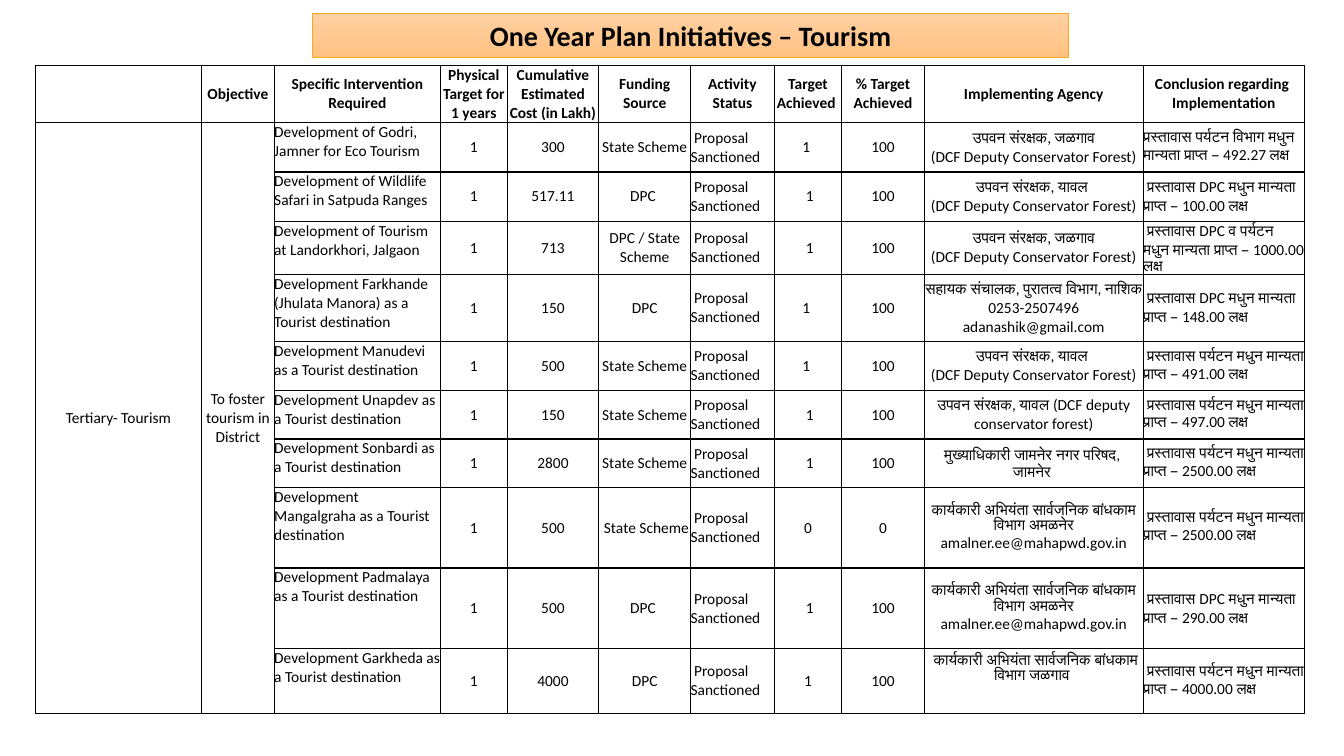
import pptx
import pptx.util
import pptx.dml.color
import pptx.enum.text
import pptx.oxml
import pptx.oxml.ns

Inches, Pt = pptx.util.Inches, pptx.util.Pt
RGBColor = pptx.dml.color.RGBColor
ALIGN, ANCHOR = pptx.enum.text.PP_ALIGN, pptx.enum.text.MSO_ANCHOR

BLACK = RGBColor(0x00, 0x00, 0x00)
PEACH = RGBColor(0xFF, 0xD1, 0xA3)
APRICOT = RGBColor(0xFF, 0xC1, 0x81)
AMBER = RGBColor(0xFC, 0xA8, 0x27)
FONT = "Calibri"

COLS = [1.65, 0.72, 1.65, 0.66, 0.91, 0.91, 0.83, 0.67, 0.82, 2.17, 1.6]
ROWS = [0.49, 0.49, 0.49, 0.49, 0.66, 0.49, 0.48, 0.48, 0.8, 0.8, 0.64]
PLAN, STATUS, RESULT = 2, 6, 10  # left-aligned columns

HEADS = ["", "Objective", "Specific Intervention Required",
         "Physical Target for 1 years", "Cumulative Estimated\nCost (in Lakh)",
         "Funding Source", "Activity Status", "Target Achieved ",
         "% Target Achieved", "Implementing Agency",
         "Conclusion regarding  Implementation"]
GROUPS = ["Tertiary- Tourism", "To foster tourism in District"]

FOREST = "\n(DCF Deputy Conservator Forest)"
JALGAON = "उपवन संरक्षक, जळगाव" + FOREST
YAVAL = "उपवन संरक्षक, यावल " + FOREST
WORKS = "कार्यकारी अभियंता सार्वजनिक बांधकाम विभाग "
AMALNER = WORKS + "अमळनेर\namalner.ee@mahapwd.gov.in"

# Intervention, cost, funding, achieved, percent, agency, approver, sum
PLANS = [
    ("Development of Godri, Jamner for Eco Tourism", "300", "State Scheme",
     "1 ", "100", JALGAON, "प्रस्तावास पर्यटन विभाग", "492.27"),
    ("Development of Wildlife Safari in Satpuda Ranges", "517.11", "DPC ",
     " 1", "100", YAVAL, " प्रस्तावास DPC", "100.00"),
    ("Development of Tourism at Landorkhori, Jalgaon", "713",
     "DPC / State Scheme", " 1", "100", JALGAON,
     " प्रस्तावास DPC व पर्यटन ", "1000.00"),
    ("Development Farkhande (Jhulata Manora) as a Tourist destination", "150",
     "DPC", "1 ", "100",
     "सहायक संचालक, पुरातत्व विभाग, नाशिक\n0253-2507496 adanashik@gmail.com",
     " प्रस्तावास DPC", "148.00"),
    ("Development Manudevi as a Tourist destination", "500", "State Scheme",
     "1 ", "100", YAVAL, " प्रस्तावास पर्यटन", "491.00"),
    ("Development Unapdev as a Tourist destination", "150", "State Scheme",
     " 1", "100", "उपवन संरक्षक, यावल (DCF deputy conservator forest)",
     " प्रस्तावास पर्यटन", "497.00"),
    ("Development Sonbardi as a Tourist destination", "2800", "State Scheme",
     " 1", "100", "मुख्याधिकारी जामनेर नगर परिषद,  जामनेर ",
     " प्रस्तावास पर्यटन", "2500.00"),
    ("Development Mangalgraha as a Tourist destination", "500",
     " State Scheme", "0", "0", AMALNER, " प्रस्तावास पर्यटन", "2500.00"),
    ("Development Padmalaya as a Tourist destination", "500", "DPC ",
     " 1", "100", AMALNER, " प्रस्तावास DPC", "290.00"),
    ("Development Garkheda as a Tourist destination", "4000", "DPC",
     "1", "100", " " + WORKS + "जळगाव \n", " प्रस्तावास पर्यटन", "4000.00"),
]


def add_text(para, text, size, bold):
    """Write text run by run, with a line break at each newline."""
    for i, line in enumerate(text.split("\n")):
        if i:
            para.add_line_break()
        if line:
            run = para.add_run()
            run.text = line
            font = run.font
            font.name, font.size, font.bold = FONT, Pt(size), bold
            font.color.rgb = BLACK


def add_title(slide, text):
    title = slide.shapes.title
    title.left, title.top = Inches(3.1), Inches(0.13)
    title.width, title.height = Inches(7.5), Inches(0.44)
    fill = title.fill
    fill.gradient()
    fill.gradient_angle = 270
    for stop, color in zip(fill.gradient_stops, (PEACH, APRICOT)):
        stop.color.rgb = color
    title.line.color.rgb = AMBER
    title.line.width = Pt(0.5)
    frame = title.text_frame
    frame.vertical_anchor = ANCHOR.MIDDLE
    frame.auto_size = pptx.enum.text.MSO_AUTO_SIZE.NONE
    para = frame.paragraphs[0]
    para.alignment = ALIGN.CENTER
    add_text(para, text, 20, True)


def add_edges(cell):
    """Draw a thin black border on all four sides."""
    props = cell._tc.get_or_add_tcPr()
    for i, side in enumerate(("lnL", "lnR", "lnT", "lnB")):
        props.insert(i, pptx.oxml.parse_xml(
            f'<a:{side} {pptx.oxml.ns.nsdecls("a")} w="{Pt(1)}"><a:solidFill>'
            f'<a:srgbClr val="{BLACK}"/></a:solidFill></a:{side}>'))


def fill_cell(cell, text, left=False, top=False, bold=False):
    cell.vertical_anchor = ANCHOR.TOP if top else ANCHOR.MIDDLE
    para = cell.text_frame.paragraphs[0]
    para.alignment = ALIGN.LEFT if left else ALIGN.CENTER
    add_text(para, text, 11, bold)


def add_grid(slide):
    """Add the empty table with its sizes and borders."""
    table = slide.shapes.add_table(
        len(ROWS), len(COLS), Inches(0.35), Inches(0.65),
        Inches(sum(COLS)), Inches(sum(ROWS))).table
    table.first_row = table.horz_banding = False
    for col, width in zip(table.columns, COLS):
        col.width = Inches(width)
    for row, height in zip(table.rows, ROWS):
        row.height = Inches(height)
    for cell in table.iter_cells():
        cell.margin_left = cell.margin_right = 0
        cell.margin_top = cell.margin_bottom = 0
        cell.fill.background()
        add_edges(cell)
    return table


def main():
    deck = pptx.Presentation()
    deck.slide_width, deck.slide_height = Inches(13.33), Inches(7.5)
    slide = deck.slides.add_slide(deck.slide_layouts[5])
    add_title(slide, "One Year Plan Initiatives – Tourism")
    table = add_grid(slide)

    # Header row
    for col, head in enumerate(HEADS):
        fill_cell(table.cell(0, col), head, bold=True)

    # Merged group columns
    for col, group in enumerate(GROUPS):
        table.cell(1, col).merge(table.cell(len(PLANS), col))
        fill_cell(table.cell(1, col), group)

    # One row for each plan
    for row, plan in enumerate(PLANS, 1):
        name, cost, fund, done, share, agent, giver, total = plan
        result = f"{giver} मधुन मान्यता प्राप्त – {total} लक्ष"
        values = [name, "1", cost, fund, " Proposal Sanctioned", done, share,
                  agent, result]
        for col, value in enumerate(values, PLAN):
            fill_cell(table.cell(row, col), value,
                      left=col in (PLAN, STATUS, RESULT), top=col == PLAN)

    deck.save("out.pptx")


if __name__ == "__main__":
    main()
